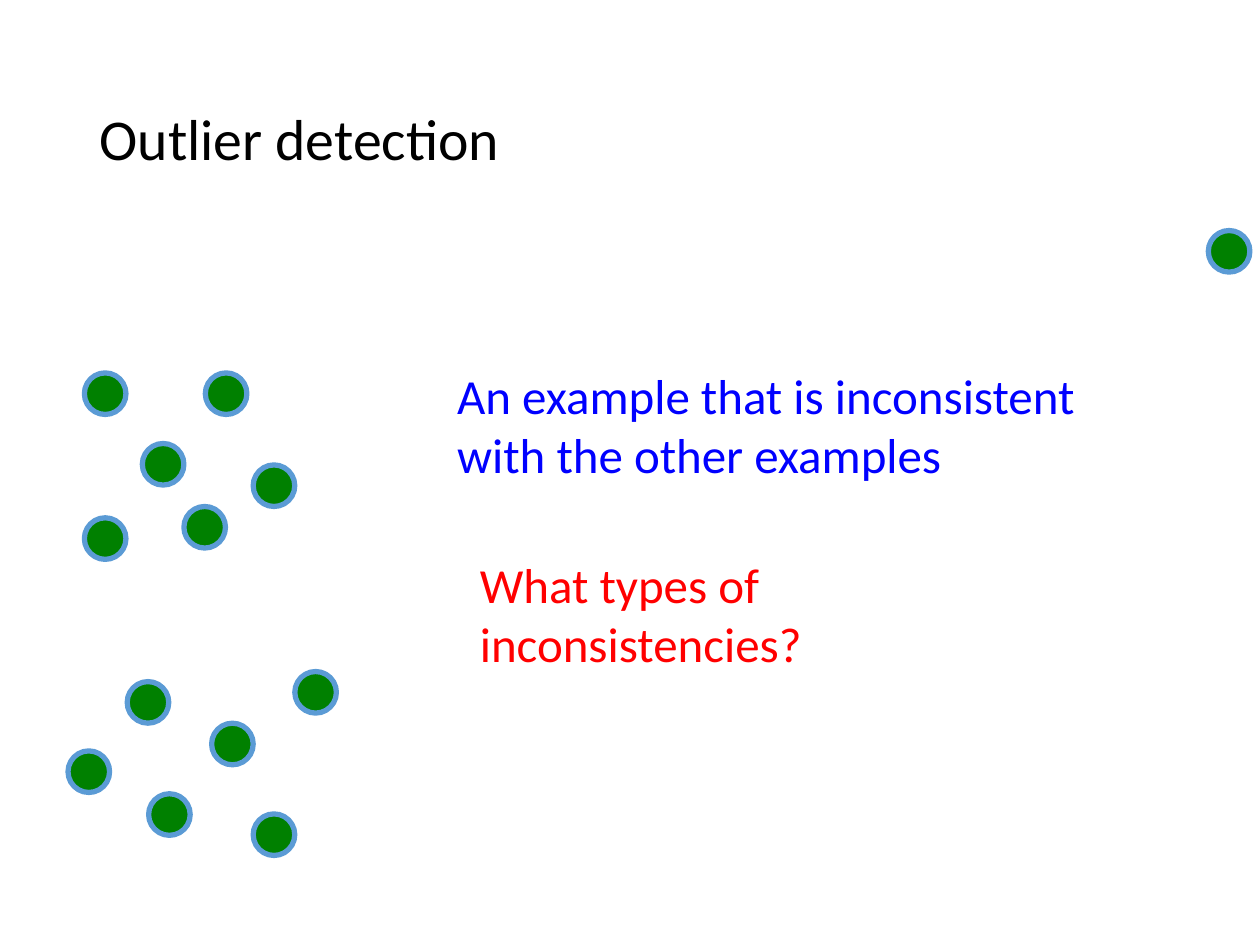
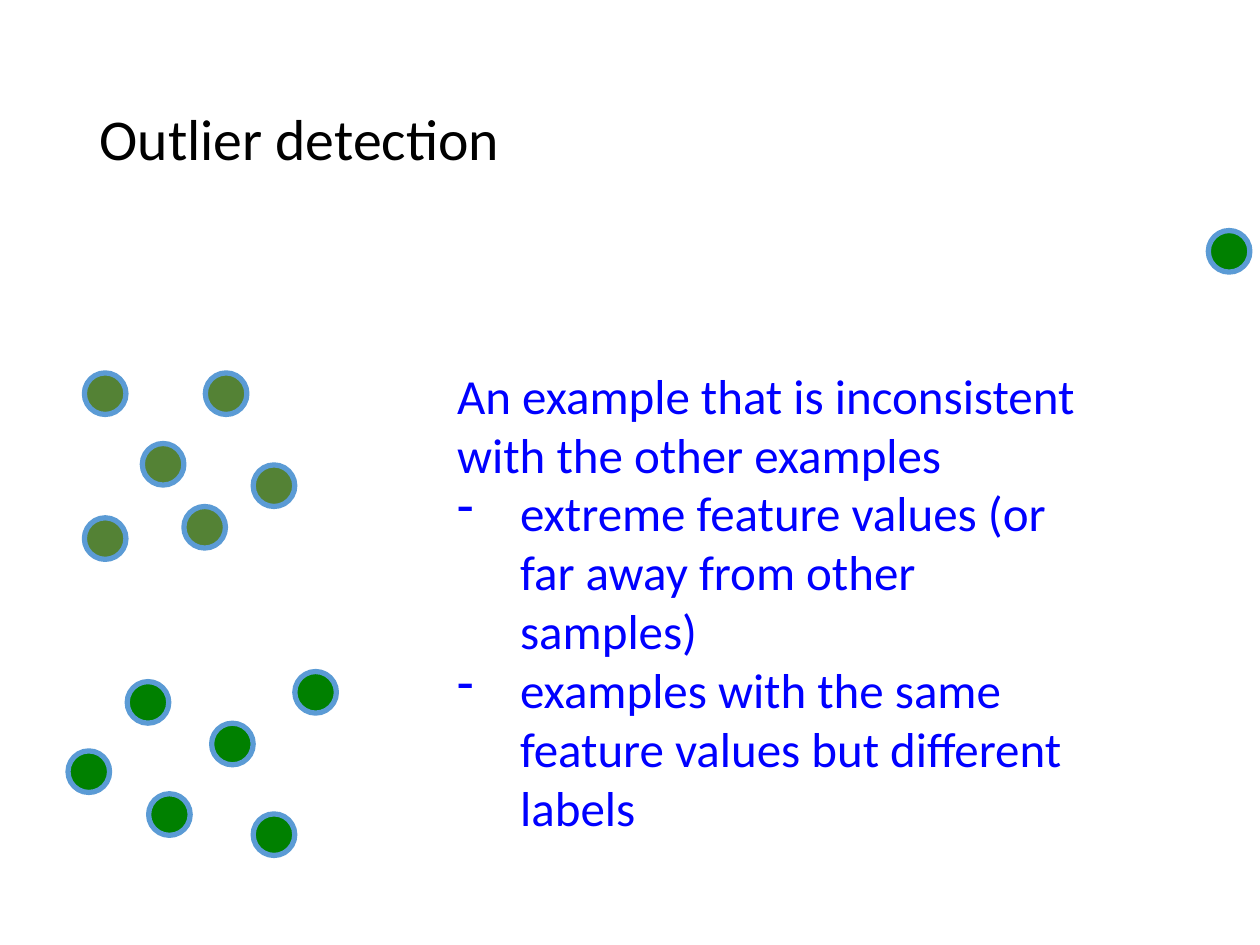
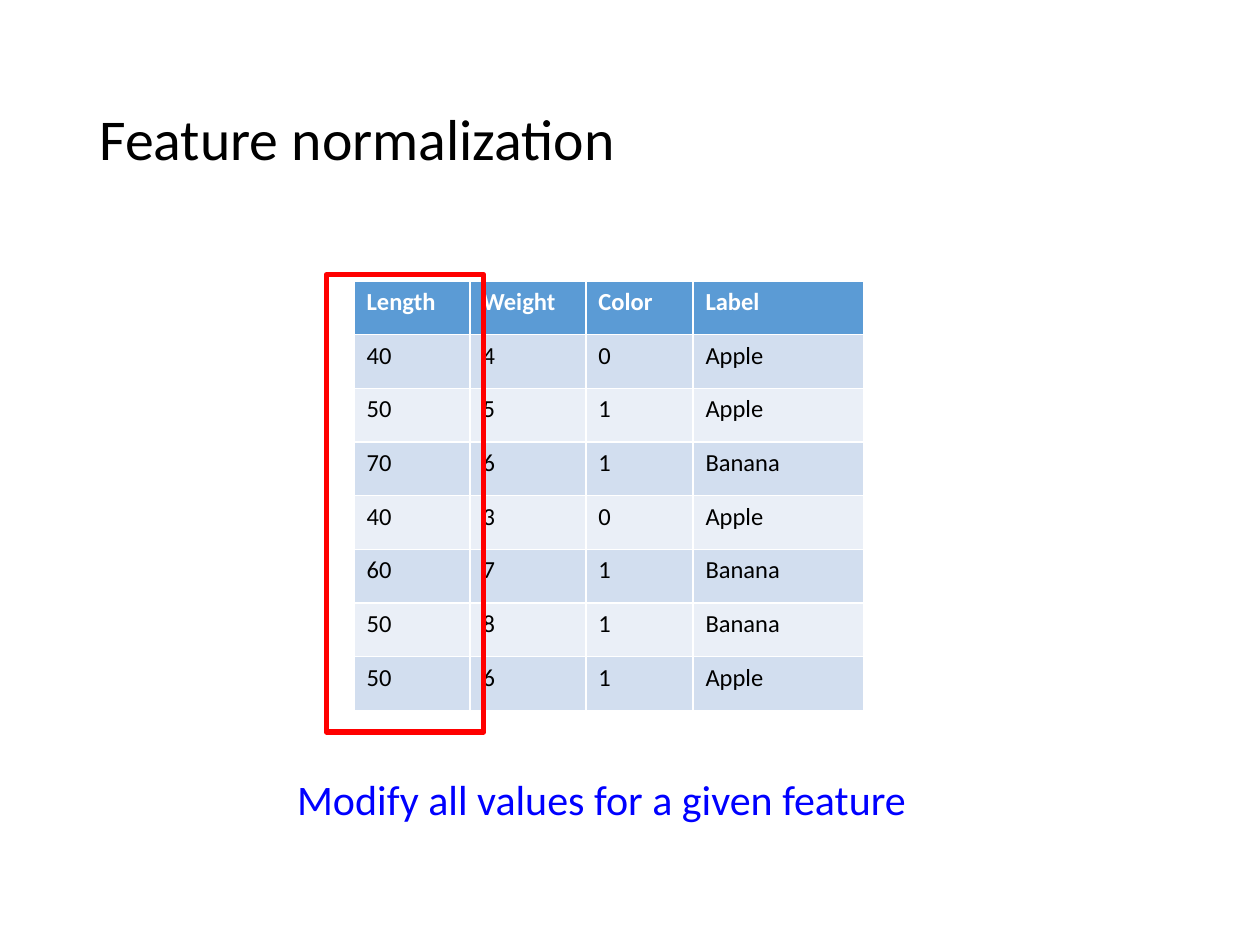
"""Build three slides on outlier detection and feature normalization."""
from lxml import etree
from pptx import Presentation
from pptx.dml.color import RGBColor
from pptx.enum import shapes, text
from pptx.oxml.ns import qn
from pptx.util import Inches, Pt

FONT = "Calibri"
BLACK, WHITE, BLUE, RED = "000000", "FFFFFF", "0000FF", "FF0000"
GREEN, OLIVE, ACCENT = "008000", "548235", "5B9BD5"
BANDS = ["D2DEEF", "EAEFF7"]

DOT_SIZE = 0.33
LOWER_CLUSTER = [(0.54, 5.96), (1.01, 5.41), (1.18, 6.3),
                 (1.68, 5.74), (2.01, 6.46), (2.34, 5.33)]
UPPER_CLUSTER = [(0.67, 4.11), (1.13, 3.52), (1.46, 4.02),
                 (0.67, 2.96), (1.63, 2.96), (2.01, 3.69)]
OUTLIER = [(9.59, 1.83)]

DEFINITION = "An example that is inconsistent with the other examples"
KINDS = [
    "extreme feature values (or far away from other samples)",
    "examples with the same feature values but different labels",
]
QUESTION = "What types of inconsistencies?"
CAPTION = "Modify all values for a given feature"

FRUIT = [
    ("Length", "Weight", "Color", "Label"),
    ("40", "4", "0", "Apple"),
    ("50", "5", "1", "Apple"),
    ("70", "6", "1", "Banana"),
    ("40", "3", "0", "Apple"),
    ("60", "7", "1", "Banana"),
    ("50", "8", "1", "Banana"),
    ("50", "6", "1", "Apple"),
]
COLUMN_WIDTHS = [0.92, 0.92, 0.85, 1.36]
ROW_HEIGHT = 0.426


def rgb(value):
    return RGBColor.from_string(value)


def inches(*lengths):
    return [Inches(length) for length in lengths]


def style(para, size, color, bold=False):
    font = para.font
    font.name, font.size, font.bold = FONT, Pt(size), bold
    font.color.rgb = rgb(color)


def add_page(deck, heading):
    page = deck.slides.add_slide(deck.slide_layouts[5])
    title = page.shapes.title
    title.left, title.top, title.width, title.height = inches(0.69, 0.4, 8.62, 1.45)
    frame = title.text_frame
    frame.text = heading
    frame.vertical_anchor = text.MSO_ANCHOR.MIDDLE
    frame.auto_size = text.MSO_AUTO_SIZE.NONE
    para = frame.paragraphs[0]
    para.alignment, para.line_spacing = text.PP_ALIGN.LEFT, 0.9
    style(para, 33, BLACK)
    return page


def add_note(page, place, lead, color, size=28, bullets=()):
    frame = page.shapes.add_textbox(*inches(*place)).text_frame
    frame.word_wrap = True
    frame.auto_size = text.MSO_AUTO_SIZE.SHAPE_TO_FIT_TEXT
    frame.text = "\n".join([lead, *bullets])
    for para in frame.paragraphs:
        style(para, size, color)
    for para in frame.paragraphs[1:]:
        props = para._p.get_or_add_pPr()
        props.set("marL", str(Inches(0.5)))
        props.set("indent", str(Inches(-0.5)))
        mark = etree.Element(qn("a:buChar"), char="-")
        props.insert_element_before(mark, "a:tabLst", "a:defRPr", "a:extLst")


def add_outlined(page, kind, place, line, fill=None):
    shape = page.shapes.add_shape(kind, *inches(*place))
    shape.shadow.inherit = False
    shape.line.color.rgb, shape.line.width = rgb(line), Pt(3)
    if fill:
        shape.fill.solid()
        shape.fill.fore_color.rgb = rgb(fill)
    else:
        shape.fill.background()


def add_dots(page, upper_fill):
    for dots, fill in ((LOWER_CLUSTER, GREEN), (UPPER_CLUSTER, upper_fill),
                       (OUTLIER, GREEN)):
        for left, top in dots:
            place = (left, top, DOT_SIZE, DOT_SIZE)
            add_outlined(page, shapes.MSO_SHAPE.OVAL, place, ACCENT, fill)


def add_fruit_table(page):
    place = inches(2.81, 2.23, sum(COLUMN_WIDTHS), ROW_HEIGHT * len(FRUIT))
    table = page.shapes.add_table(len(FRUIT), len(COLUMN_WIDTHS), *place).table
    for column, width in zip(table.columns, COLUMN_WIDTHS):
        column.width = Inches(width)
    for index, values in enumerate(FRUIT):
        header = index == 0
        fill = ACCENT if header else BANDS[(index - 1) % 2]
        for cell, value in zip(table.rows[index].cells, values):
            cell.text = value
            cell.fill.solid()
            cell.fill.fore_color.rgb = rgb(fill)
            style(cell.text_frame.paragraphs[0], 14,
                  WHITE if header else BLACK, header)


def main():
    deck = Presentation()
    deck.slide_width, deck.slide_height = inches(10, 7.5)

    page = add_page(deck, "Outlier detection")
    add_dots(page, GREEN)
    add_note(page, (3.53, 2.85, 5.1, 1.04), DEFINITION, BLUE)
    add_note(page, (3.71, 4.35, 4.92, 0.57), QUESTION, RED)

    page = add_page(deck, "Outlier detection")
    add_dots(page, OLIVE)
    add_note(page, (3.53, 2.85, 5.1, 4.34), DEFINITION, BLUE, bullets=KINDS)

    page = add_page(deck, "Feature normalization")
    add_fruit_table(page)
    add_outlined(page, shapes.MSO_SHAPE.RECTANGLE, (2.59, 2.18, 1.25, 3.63), RED)
    add_note(page, (2.26, 6.09, 5.17, 0.5), CAPTION, BLUE, size=24)

    deck.save("out.pptx")


if __name__ == "__main__":
    main()
